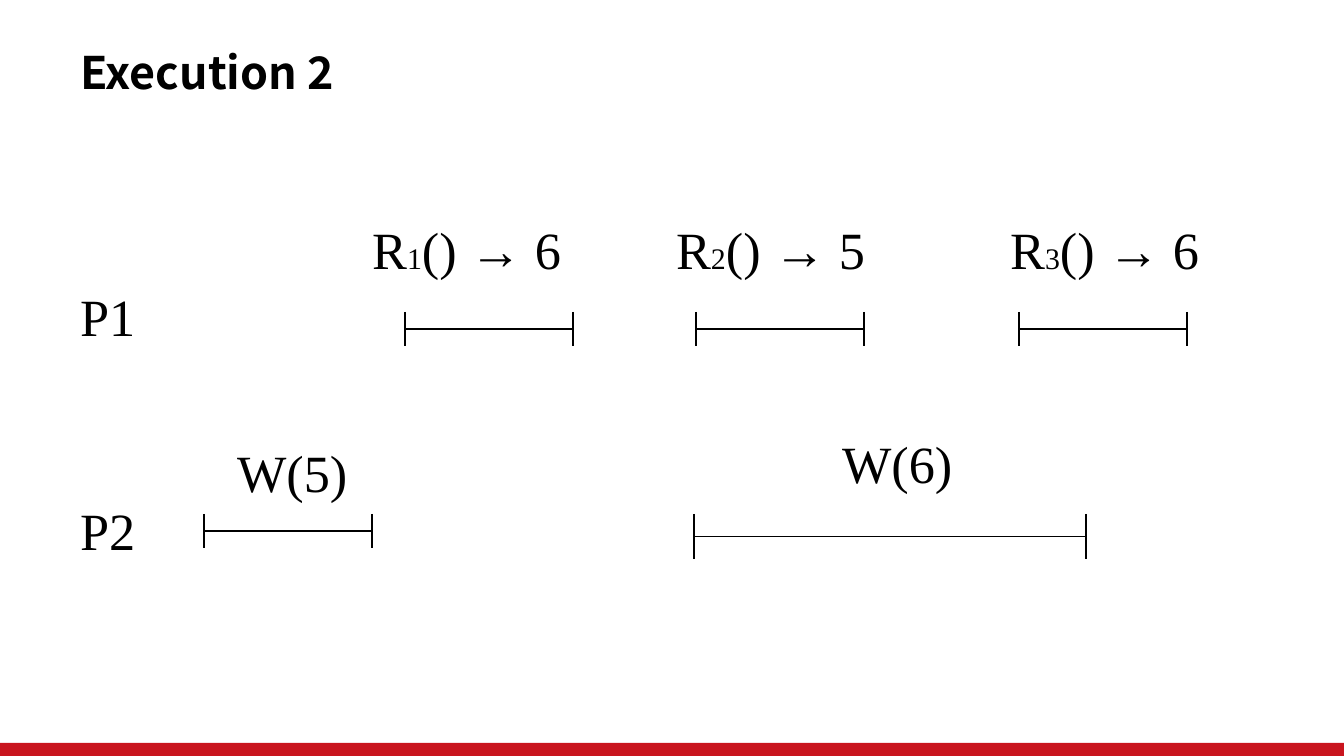
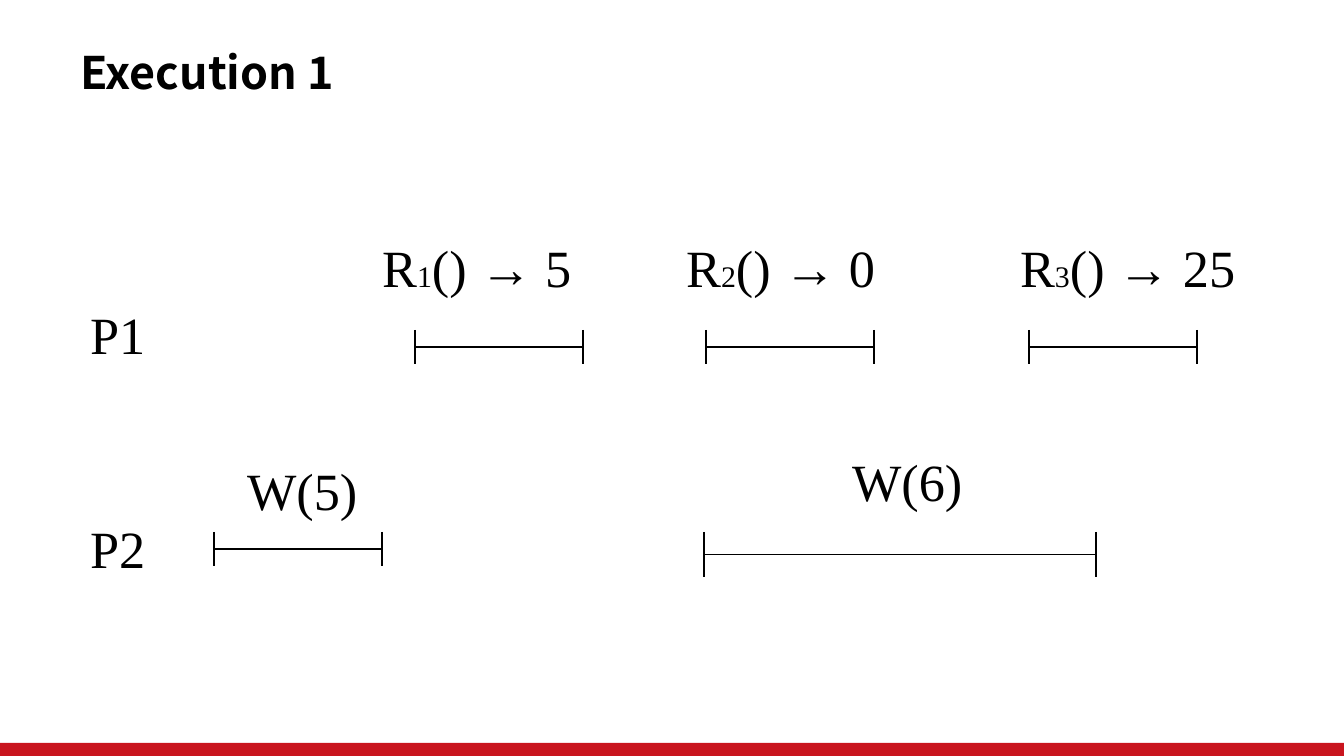
"""Build two timing diagrams of reads and writes by two processes."""
from dataclasses import dataclass

from lxml import etree
from pptx import Presentation
from pptx.dml.color import RGBColor
from pptx.enum.shapes import MSO_CONNECTOR, MSO_SHAPE
from pptx.enum.text import MSO_ANCHOR, MSO_AUTO_SIZE, PP_ALIGN
from pptx.oxml.ns import qn
from pptx.util import Emu, Pt

LEFT = PP_ALIGN.LEFT
TOP, MIDDLE = MSO_ANCHOR.TOP, MSO_ANCHOR.MIDDLE
FIT, FIXED = MSO_AUTO_SIZE.SHAPE_TO_FIT_TEXT, MSO_AUTO_SIZE.NONE
RECT, STRAIGHT = MSO_SHAPE.RECTANGLE, MSO_CONNECTOR.STRAIGHT
TITLE_ONLY = 5


@dataclass(frozen=True)
class Theme:
    ink: RGBColor = RGBColor(0, 0, 0)
    band: RGBColor = RGBColor(0xC9, 0x15, 0x1E)
    head: str = "Noto Sans CJK SC"
    body: str = "Times New Roman"
    title: int = 24
    text: int = 28
    sub: int = 16
    line: float = 0.75


THEME = Theme()
WIDE, HIGH = 1344, 756
BAND = (0, 743, WIDE, 13)
TITLE = (67, 39, 935, 66)
ROW = 77

# fmt: off
SLIDES = [
    {"title": "Execution 2", "shift": (0, 0),
     "reads": [("6", 245, True), ("5", 245, True), ("6", 217, False)]},
    {"title": "Execution 1", "shift": (10, 18),
     "reads": [("5", 239, True), ("0", 217, False), ("25", 243, False)]},
]
# fmt: on
LABELS = [
    ("P1", 67, 278, 82),
    ("P2", 67, 492, 82),
    ("W(5)", 224, 434, 137),
    ("W(6)", 829, 425, 137),
]
READ_X, READ_Y = (359, 663, 997), 211
SPANS = [(204, 514, 168, 34), (694, 514, 392, 45)]
SPANS += [(x, 312, 168, 34) for x in (405, 696, 1019)]


def px(*vals):
    return [Emu(round(v * 9144000 / WIDE)) for v in vals]


def write(shape, runs, font=THEME.body, bold=False, anchor=TOP, wrap=False, fit=FIT):
    frame = shape.text_frame
    frame.word_wrap, frame.auto_size = wrap, fit
    frame.vertical_anchor = anchor
    para = frame.paragraphs[0]
    para.alignment = LEFT
    for text, size in runs:
        run = para.add_run()
        run.text = text
        run.font.name, run.font.size, run.font.bold = font, Pt(size), bold
        run.font.color.rgb = THEME.ink


def label(slide, runs, x, y, width, **style):
    write(slide.shapes.add_textbox(*px(x, y, width, ROW)), runs, **style)


def span(slide, x, y, width, height):
    group = slide.shapes.add_group_shape()
    mid, end, foot = y + height / 2, x + width, y + height
    for ends in ((x, mid, end, mid), (x, y, x, foot), (end, y, end, foot)):
        line = group.shapes.add_connector(STRAIGHT, *px(*ends))
        line.line.color.rgb, line.line.width = THEME.ink, Pt(THEME.line)
        etree.SubElement(line.element.spPr, qn("a:effectLst"))


def add_band(slide):
    band = slide.shapes.add_shape(RECT, *px(*BAND))
    band.shadow.inherit = False
    band.fill.solid()
    band.fill.fore_color.rgb = THEME.band
    band.line.fill.background()
    slide.slide_layout.shapes.element.insert(2, band.element)


def draw(slide, data):
    title = slide.shapes.title
    title.left, title.top, title.width, title.height = px(*TITLE)
    write(title, [(data["title"], THEME.title)], font=THEME.head, bold=True,
          anchor=MIDDLE, fit=FIXED)
    dx, dy = data["shift"]
    for x, y, width, height in SPANS:
        span(slide, x + dx, y + dy, width, height)
    for text, x, y, width in LABELS:
        label(slide, [(text, THEME.text)], x + dx, y + dy, width)
    for num, (x, (value, width, wrap)) in enumerate(zip(READ_X, data["reads"]), 1):
        runs = [("R", THEME.text), (str(num), THEME.sub), (f"() → {value}", THEME.text)]
        label(slide, runs, x + dx, READ_Y + dy, width, wrap=wrap)


def main():
    deck = Presentation()
    deck.slide_width, deck.slide_height = px(WIDE, HIGH)
    layout = deck.slide_layouts[TITLE_ONLY]
    slides = [deck.slides.add_slide(layout) for _ in SLIDES]
    add_band(slides[0])
    for slide, data in zip(slides, SLIDES):
        draw(slide, data)
    deck.save("out.pptx")


if __name__ == "__main__":
    main()
